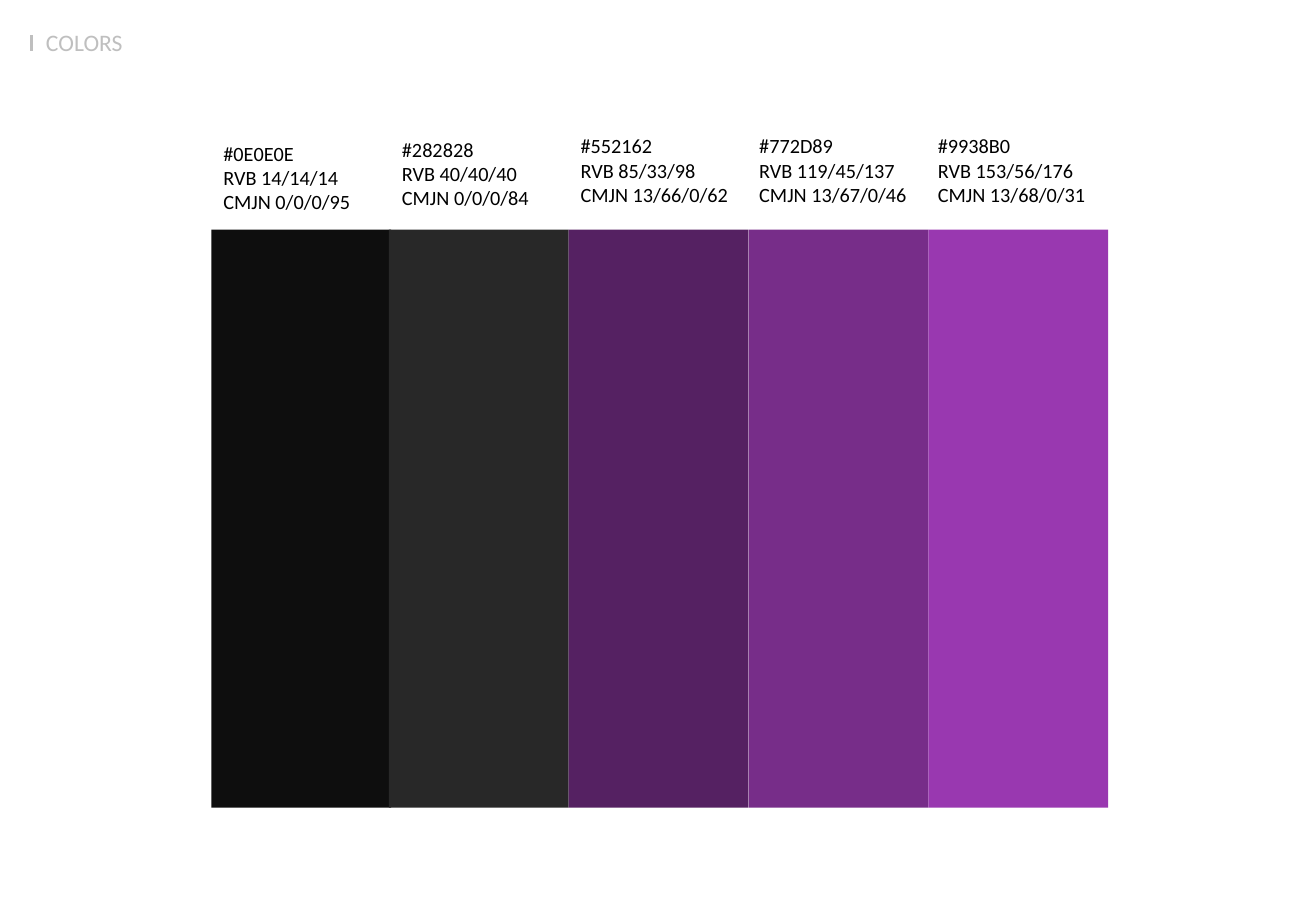
import pptx
import pptx.dml.color
import pptx.enum.shapes
import pptx.enum.text
import pptx.util
from lxml import etree
from pptx.util import Inches

FONT = "Calibri"
GREY = "BFBFBF"
BLACK = "000000"
LABEL_PITCH = 1.47
SWATCHES = [
    ("0E0E0E", "0/0/0/95", 0, 0.06),
    ("282828", "0/0/0/84", 1.46, 0.03),
    ("552162", "13/66/0/62", 2.94, 0),
    ("772D89", "13/67/0/46", 4.42, 0),
    ("9938B0", "13/68/0/31", 5.9, 0),
]


def color(code):
    """Return the colour for a hex string."""
    return pptx.dml.color.RGBColor.from_string(code)


def add_text(page, box, lines, size, code, line_spacing=1.0):
    """Add a text box with one paragraph per line."""
    frame = page.shapes.add_textbox(*map(Inches, box)).text_frame
    frame.word_wrap = True
    frame.vertical_anchor = pptx.enum.text.MSO_ANCHOR.TOP
    for index, line in enumerate(lines):
        para = frame.add_paragraph() if index else frame.paragraphs[0]
        para.line_spacing = line_spacing
        span = para.add_run()
        span.text = line
        span.font.name = FONT
        span.font.size = pptx.util.Pt(size)
        span.font.color.rgb = color(code)


def add_heading(page, box, title):
    """Draw the page title with the short upright rule on its left."""
    left, top, width, height = box
    add_text(page, (left + 0.02, top, width - 0.02, height), [title], 14, GREY, 0.9)
    rule = page.shapes.add_connector(
        pptx.enum.shapes.MSO_CONNECTOR.STRAIGHT,
        Inches(left), Inches(top + 0.08), Inches(left), Inches(top + 0.21))
    rule.line.color.rgb = color(GREY)
    rule.line.width = pptx.util.Pt(1.5)
    properties = rule.element.spPr
    etree.SubElement(properties, pptx.oxml.ns.qn("a:effectLst"))


def add_palette(page, box):
    """Draw the colour bars, then the codes above them."""
    left, top, width, height = box
    bar_top = top + 0.84
    for code, _, offset, _ in SWATCHES:
        bar = page.shapes.add_shape(
            pptx.enum.shapes.MSO_SHAPE.RECTANGLE,
            Inches(left + offset), Inches(bar_top),
            Inches(width / 5), Inches(height - 0.84))
        bar.shadow.inherit = False
        bar.fill.solid()
        bar.fill.fore_color.rgb = color(code)
        bar.line.fill.background()
    for index, (code, cmyk, _, drop) in enumerate(SWATCHES):
        rgb = "/".join(str(part) for part in color(code))
        lines = [f"#{code}", f"RVB {rgb}", f"CMJN {cmyk}"]
        label_box = (left + index * LABEL_PITCH, top + drop, 1.46, 1.01)
        add_text(page, label_box, lines, 12, BLACK)


def build():
    """Build the colour page and save the deck."""
    deck = pptx.Presentation()
    deck.slide_width = Inches(10.83)
    deck.slide_height = Inches(7.5)
    page = deck.slides.add_slide(deck.slide_layouts[6])
    add_heading(page, (0.26, 0.21, 1.1, 0.36), "COLORS")
    add_palette(page, (1.74, 1.05, 7.4, 5.6))
    deck.save("out.pptx")


build()
